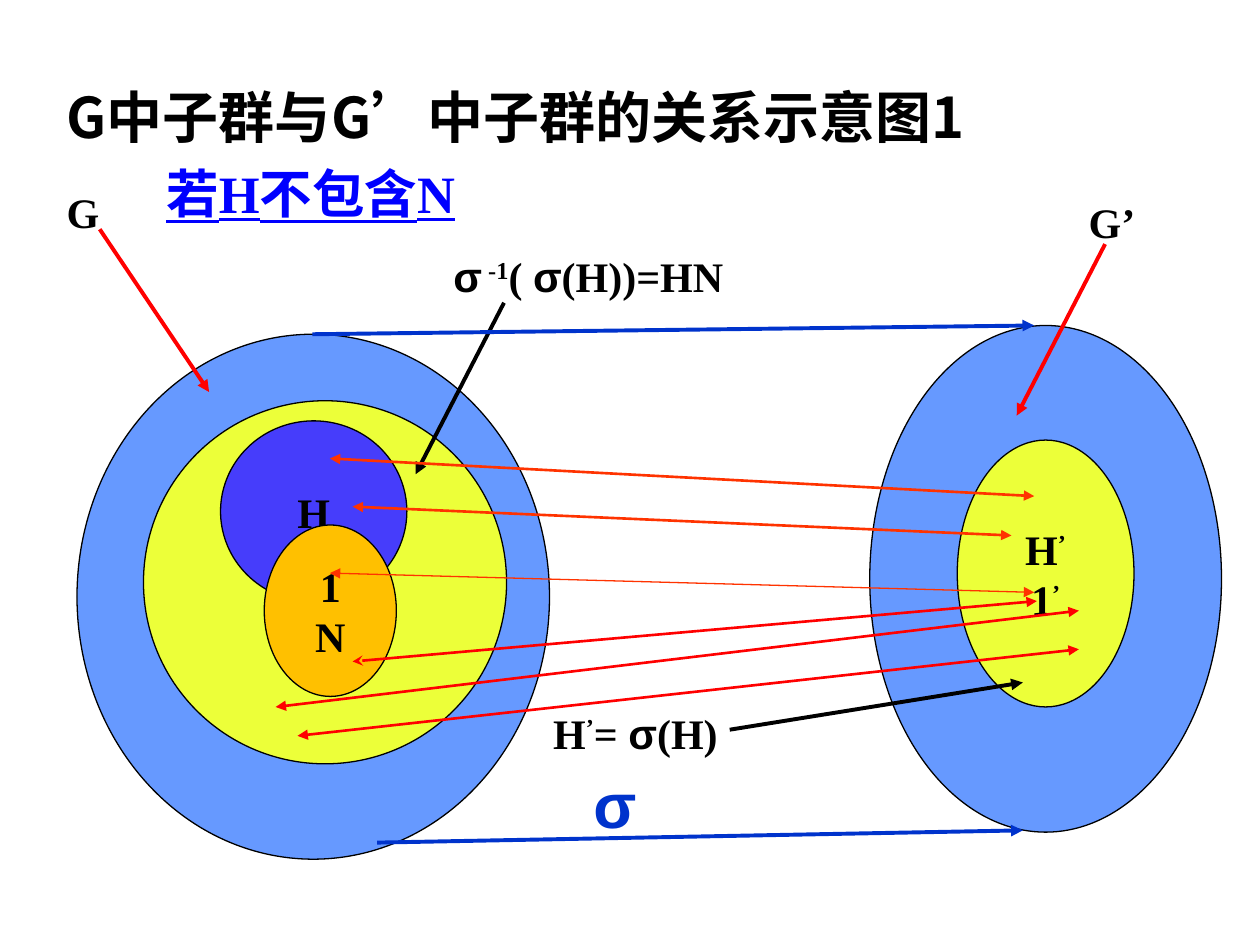
from typing import NamedTuple, Optional

from lxml.etree import SubElement
from pptx import Presentation
from pptx.dml.color import RGBColor as RGB
from pptx.enum.shapes import MSO_CONNECTOR as LINK, MSO_SHAPE as SHAPE
from pptx.enum.text import MSO_ANCHOR as ANCHOR, PP_ALIGN as ALIGN
from pptx.oxml.ns import qn
from pptx.util import Pt

BLACK = RGB(0x00, 0x00, 0x00)
RED = RGB(0xFF, 0x00, 0x00)
CORAL = RGB(0xFF, 0x33, 0x00)
NAVY = RGB(0x00, 0x33, 0xCC)
BLUE = RGB(0x00, 0x00, 0xFF)
SKY = RGB(0x66, 0x99, 0xFF)
LEMON = RGB(0xEC, 0xFF, 0x39)
VIOLET = RGB(0x46, 0x3D, 0xFB)
AMBER = RGB(0xFF, 0xC0, 0x00)

SERIF = "Times New Roman"
SANS = "Arial"
HAN = "Noto Sans CJK SC"


class Run(NamedTuple):
    text: str
    face: str = SERIF
    high: bool = False


class Oval(NamedTuple):
    left: float
    top: float
    width: float
    height: float
    fill: RGB
    lines: tuple = ()


class Arrow(NamedTuple):
    start: tuple
    end: tuple
    color: RGB
    width: float = 2.25
    head: Optional[str] = None


class Label(NamedTuple):
    left: float
    top: float
    width: float
    height: float
    runs: tuple
    look: dict = {}


PRIME = Run("’", high=True)
SIGMA = Run("σ", SANS)

PARTS = [
    Oval(44, 191, 270, 300, SKY),
    Oval(497, 186, 201, 289.5, SKY),
    Oval(82, 229, 207.5, 207.5, LEMON),
    Oval(126, 240.5, 106.5, 103.5, VIOLET, ((Run("H"),),)),
    Oval(151, 300, 75.5, 98, AMBER, ((Run("1"),), (Run("N"),))),
    Arrow((57, 131), (119.5, 224), RED),
    Arrow((288, 173), (237.5, 271), BLACK),
    Oval(547, 251.5, 101, 152.5, LEMON, ((Run("H"), PRIME), (Run("1"), PRIME))),
    Arrow((417, 417), (584.5, 390), BLACK),
    Arrow((188.5, 262), (591, 283.5), CORAL, 1.5, "triangle"),
    Arrow((201.5, 289.5), (578, 306), CORAL, 1.5, "triangle"),
    Arrow((188.5, 327.5), (591, 338.5), CORAL, 0.75, "triangle"),
    Arrow((157.5, 404), (616.5, 349), RED, 1.5, "triangle"),
    Arrow((170, 420.5), (616.5, 371), RED, 1.5, "triangle"),
    Arrow((178.5, 191), (591, 186), NAVY),
    Arrow((215.5, 481.5), (584.5, 474.5), NAVY),
    Arrow((631.5, 139.5), (581, 237.5), RED),
    Arrow((201.5, 378), (592.5, 343.5), RED, 1.5, "stealth"),
    Label(31, 31.5, 643, 70, (Run("G中子群与G’中子群的关系示意图1", HAN),), {"size": Pt(32)}),
    Label(31, 103, 39.5, 36, (Run("G"),)),
    Label(88, 88.5, 250, 43, (Run("若H不包含N"),),
          {"size": Pt(30), "underline": True, "color": BLUE}),
    Label(252, 139.5, 198.5, 36,
          (SIGMA, Run(" -1", high=True), Run("( "), SIGMA, Run("(H))=HN"))),
    Label(309, 400.5, 130.5, 36, (Run("H"), PRIME, Run("= "), SIGMA, Run("(H)"))),
    Label(615, 108.5, 57, 36, (Run("G’"),)),
    Label(332, 434, 81.5, 50.5, (SIGMA,), {"size": Pt(36), "color": NAVY}),
]


def write(para, runs: tuple, look: dict) -> None:
    style = {"size": Pt(24), "bold": True, "color": BLACK, **look}
    color = style.pop("color")
    for part in runs:
        run = para.add_run()
        run.text = part.text
        for key, value in {**style, "name": part.face}.items():
            setattr(run.font, key, value)
        run.font.color.rgb = color
        props = run._r.get_or_add_rPr()
        SubElement(props, qn("a:ea")).set("typeface", HAN)
        if part.high:
            props.set("baseline", "30000")


def draw_oval(shapes, oval: Oval) -> None:
    shape = shapes.add_shape(SHAPE.OVAL, *map(Pt, oval[:4]))
    shape.shadow.inherit = False
    shape.fill.solid()
    shape.fill.fore_color.rgb = oval.fill
    shape.line.color.rgb = BLACK
    shape.line.width = Pt(0.75)
    frame = shape.text_frame
    frame.word_wrap = False
    frame.vertical_anchor = ANCHOR.MIDDLE
    for i, runs in enumerate(oval.lines):
        para = frame.add_paragraph() if i else frame.paragraphs[0]
        para.alignment = ALIGN.CENTER
        write(para, runs, {})


def draw_arrow(shapes, arrow: Arrow) -> None:
    link = shapes.add_connector(LINK.STRAIGHT, *map(Pt, arrow.start + arrow.end))
    link.line.color.rgb = arrow.color
    link.line.width = Pt(arrow.width)
    line = link.line._get_or_add_ln()
    if arrow.head:
        SubElement(line, qn("a:headEnd")).set("type", arrow.head)
    SubElement(line, qn("a:tailEnd")).set("type", "triangle")
    SubElement(link._element.spPr, qn("a:effectLst"))


def draw_label(shapes, label: Label) -> None:
    frame = shapes.add_textbox(*map(Pt, label[:4])).text_frame
    frame.word_wrap = True
    frame.vertical_anchor = ANCHOR.MIDDLE
    write(frame.paragraphs[0], label.runs, label.look)


def main() -> None:
    deck = Presentation()
    deck.slide_width, deck.slide_height = Pt(720), Pt(540)
    shapes = deck.slides.add_slide(deck.slide_layouts[6]).shapes
    draw = {Oval: draw_oval, Arrow: draw_arrow, Label: draw_label}
    for part in PARTS:
        draw[type(part)](shapes, part)
    deck.save("out.pptx")


if __name__ == "__main__":
    main()
